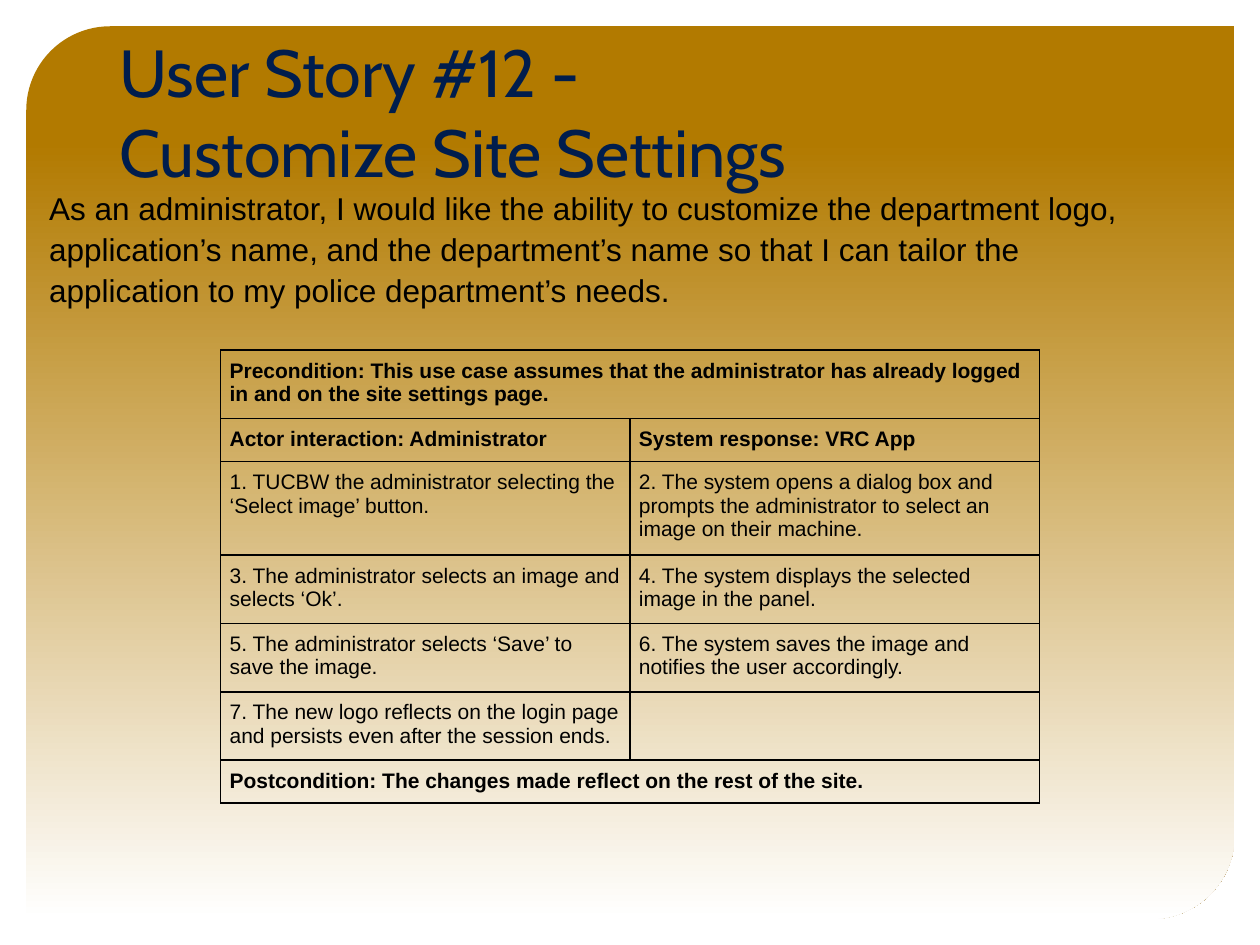
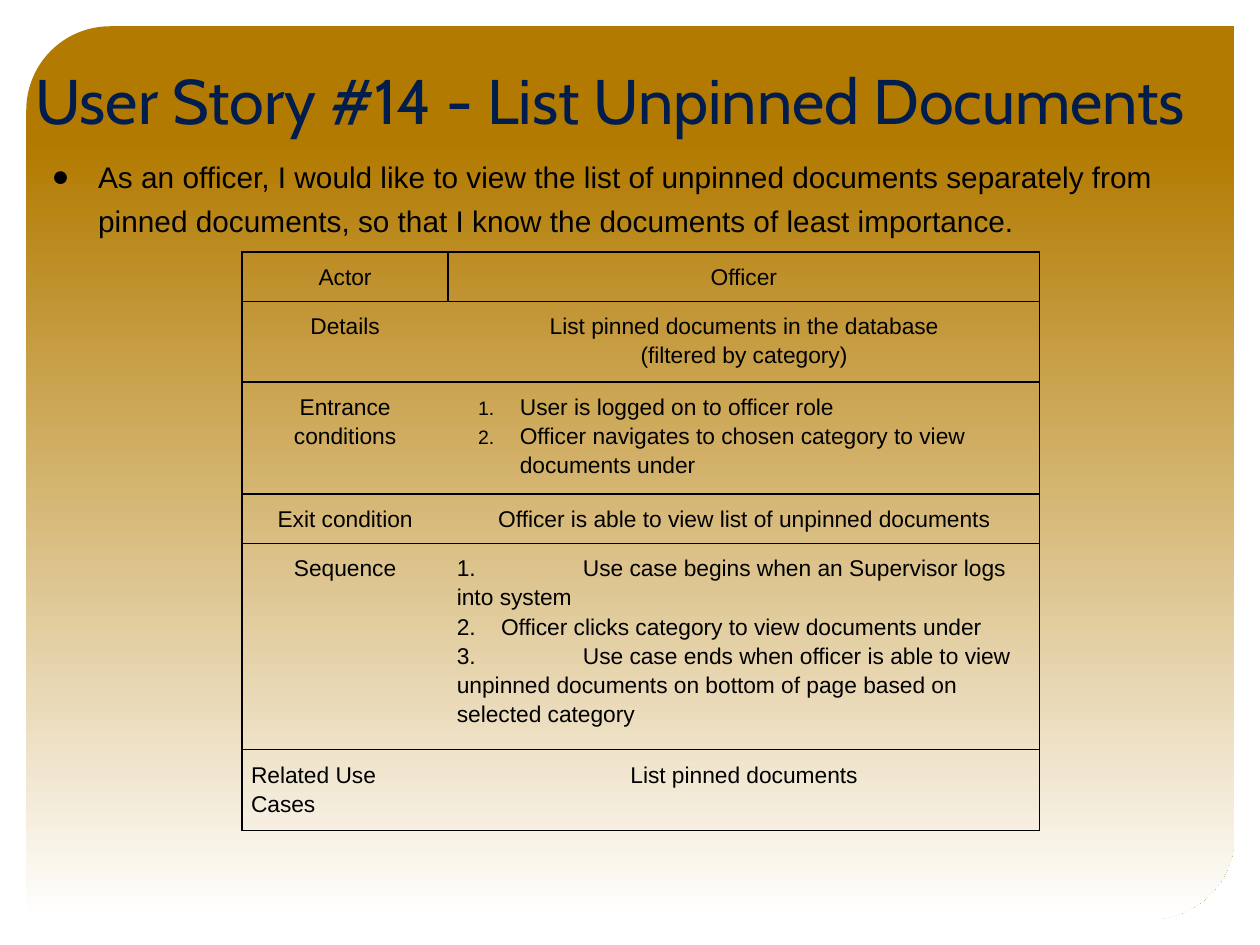
from pptx import Presentation
from pptx.dml.color import RGBColor
from pptx.enum import shapes, text
from pptx.oxml import parse_xml
from pptx.oxml.ns import nsdecls
from pptx.util import Cm, Pt

theme = {
    "gold": "B27A00", "white": "FFFFFF", "navy": "001D4D", "black": "000000",
    "head": "Cabin", "body": "Arial",
    "story": 18, "lead": 17, "case": 12, "use": 13,
}
mid = text.PP_ALIGN.CENTER
left = text.PP_ALIGN.LEFT


def write(frame, lines, size, face="body", ink="black", bold=False, marks=(), **form):
    for i, line in enumerate(lines):
        para = frame.paragraphs[0] if i == 0 else frame.add_paragraph()
        props = para._p.get_or_add_pPr()
        for mark in marks[i] if marks else ():
            if isinstance(mark, dict):
                for key, val in mark.items():
                    props.set(key, str(val))
            else:
                props.append(parse_xml(mark.replace(" ", f" {nsdecls('a')} ", 1)))
        for key, val in form.items():
            setattr(para, key, val)
        run = para.add_run()
        run.text = line
        run.font.color.rgb = RGBColor.from_string(theme[ink])
        for key, val in {"size": Pt(size), "name": theme[face], "bold": bold}.items():
            setattr(run.font, key, val)


def edge(cell, sides):
    props = cell._tc.get_or_add_tcPr()
    for side in "LRTB":
        fill = f'<a:solidFill><a:srgbClr val="{theme["black"]}"/></a:solidFill>'
        if side not in sides:
            fill = "<a:noFill/>"
        props.append(parse_xml(f'<a:ln{side} {nsdecls("a")} w="12700">{fill}</a:ln{side}>'))
    cell.fill.background()
    for key in ("left", "right", "top", "bottom"):
        setattr(cell, f"margin_{key}", Cm(0.18))


def indent(by, hang):
    return {"marL": Cm(by), "indent": Cm(hang)}


def stop(at):
    return [f'<a:tabLst ><a:tab pos="{Cm(at)}" algn="l"/></a:tabLst>']


dot = [indent(1.27, -0.94), '<a:buFont typeface="Arial"/>', '<a:buChar char="●"/>']
num = [indent(1.27, -0.84), '<a:buSzPct val="85000"/>', '<a:buAutoNum type="arabicPeriod"/>']

pages = [
    {
        "title": (["User Story #12 -", "Customize Site Settings"], 38, (2.16, 1.07, 21.06, 2.9)),
        "story": (
            "As an administrator, I would like the ability to customize the department logo, "
            "application’s name, and the department’s name so that I can tailor the "
            "application to my police department’s needs.",
            theme["story"], (0.74, 3.5, 23.06, 1.52), 0.25, {"line_spacing": 1.08},
        ),
        "grid": (4.45, 7.06, (8.25, 8.25), (1.3, 0.83, 1.77, 1.31, 1.33, 1.35, 0.83)),
    },
    {
        "title": (["User Story #14 - List Unpinned Documents"], 36, (0.46, 0, 24.94, 2.9)),
        "story": (
            "As an officer, I would like to view the list of unpinned documents separately "
            "from pinned documents, so that I know the documents of least importance.",
            theme["lead"], (0.46, 2.9, 24.33, 1.35), 0.13,
            {"line_spacing": 1.23, "marks": [dot]},
        ),
        "grid": (4.88, 5.08, (4.15, 11.93), (0.94, 1.53, 2.12, 0.94, 3.88, 1.53)),
    },
]

deck = Presentation()
deck.slide_width, deck.slide_height = Cm(25.4), Cm(19.05)
tables = []
for page in pages:
    slide = deck.slides.add_slide(deck.slide_layouts[6])
    panel = slide.shapes.add_shape(
        shapes.MSO_SHAPE.ROUND_2_DIAG_RECTANGLE, Cm(0.53), Cm(0.53), Cm(24.36), Cm(18)
    )
    panel.adjustments[0], panel.adjustments[1] = 0.094, 0
    panel.shadow.inherit = False
    panel.line.fill.background()
    panel.fill.gradient()
    panel.fill.gradient_angle = 270
    stops = panel.fill._fill._gradFill.find("{*}gsLst")
    for old in list(stops):
        stops.remove(old)
    for pos, tint in ((0, "gold"), (13, "gold"), (100, "white")):
        stops.append(parse_xml(
            f'<a:gs {nsdecls("a")} pos="{pos * 1000}"><a:srgbClr val="{theme[tint]}"/></a:gs>'
        ))

    lines, size, spot = page["title"]
    tale, small, place, pad, form = page["story"]
    for box, inset, anchor in (
        (spot, 0.13, text.MSO_ANCHOR.BOTTOM), (place, pad, text.MSO_ANCHOR.TOP)
    ):
        frame = slide.shapes.add_textbox(*map(Cm, box)).text_frame
        looks = {
            "word_wrap": True, "vertical_anchor": anchor,
            "margin_left": Cm(0.25), "margin_right": Cm(0.25),
            "margin_top": Cm(inset), "margin_bottom": Cm(inset),
        }
        for key, val in looks.items():
            setattr(frame, key, val)
        if box is spot:
            write(frame, lines, size, "head", "navy")
        else:
            write(frame, [tale], small, **form)

    x, y, cols, rows = page["grid"]
    grid = slide.shapes.add_table(
        len(rows), len(cols), Cm(x), Cm(y), Cm(sum(cols)), Cm(sum(rows))
    ).table
    grid.first_row = grid.horz_banding = False
    for col, width in zip(grid.columns, cols):
        col.width = Cm(width)
    for row, height in zip(grid.rows, rows):
        row.height = Cm(height)
    tables.append(grid)

case, use = tables
steps = [
    ["Precondition: This use case assumes that the administrator has already logged in "
     "and on the site settings page."],
    ["Actor interaction: Administrator", "System response: VRC App"],
    ["1. TUCBW the administrator selecting the ‘Select image’ button.",
     "2. The system opens a dialog box and prompts the administrator to select an image "
     "on their machine."],
    ["3. The administrator selects an image and selects ‘Ok’.",
     "4. The system displays the selected image in the panel."],
    ["5. The administrator selects ‘Save’ to save the image.",
     "6. The system saves the image and notifies the user accordingly."],
    ["7. The new logo reflects on the login page and persists even after the session ends."],
    ["Postcondition: The changes made reflect on the rest of the site."],
]
for r, row in enumerate(steps):
    if r in (0, 6):
        case.cell(r, 0).merge(case.cell(r, 1))
    for c in range(2):
        edge(case.cell(r, c), "LRTB")
    for c, words in enumerate(row):
        write(case.cell(r, c).text_frame, [words], theme["case"], bold=r in (0, 1, 6))

facts = [
    ("Actor", ["Officer"], mid, ()),
    ("Details", ["List pinned documents in the database", "(filtered by category)"], mid, ()),
    ("Entrance conditions",
     ["User is logged on to officer role",
      "Officer navigates to chosen category to view documents under"], left, [num, num]),
    ("Exit condition", ["Officer is able to view list of unpinned documents"], mid, ()),
    ("Sequence",
     ["1.\tUse case begins when an Supervisor logs into system",
      "2.\tOfficer clicks category to view documents under",
      "3.\tUse case ends when officer is able to view unpinned documents on bottom of page "
      "based on selected category"], left, [stop(2.54), stop(0.89), stop(2.54)]),
    ("Related Use Cases", ["List pinned documents"], mid, ()),
]
for r, (label, lines, align, marks) in enumerate(facts):
    name, info = use.cell(r, 0), use.cell(r, 1)
    edge(name, "LTB" if r else "LRTB")
    edge(info, "RTB" if r else "LRTB")
    side = left if label.startswith("Related") else mid
    write(name.text_frame, [label], theme["use"], alignment=side, line_spacing=1.15)
    write(info.text_frame, lines, theme["use"], marks=marks, alignment=align, line_spacing=1.15)

deck.save("out.pptx")
